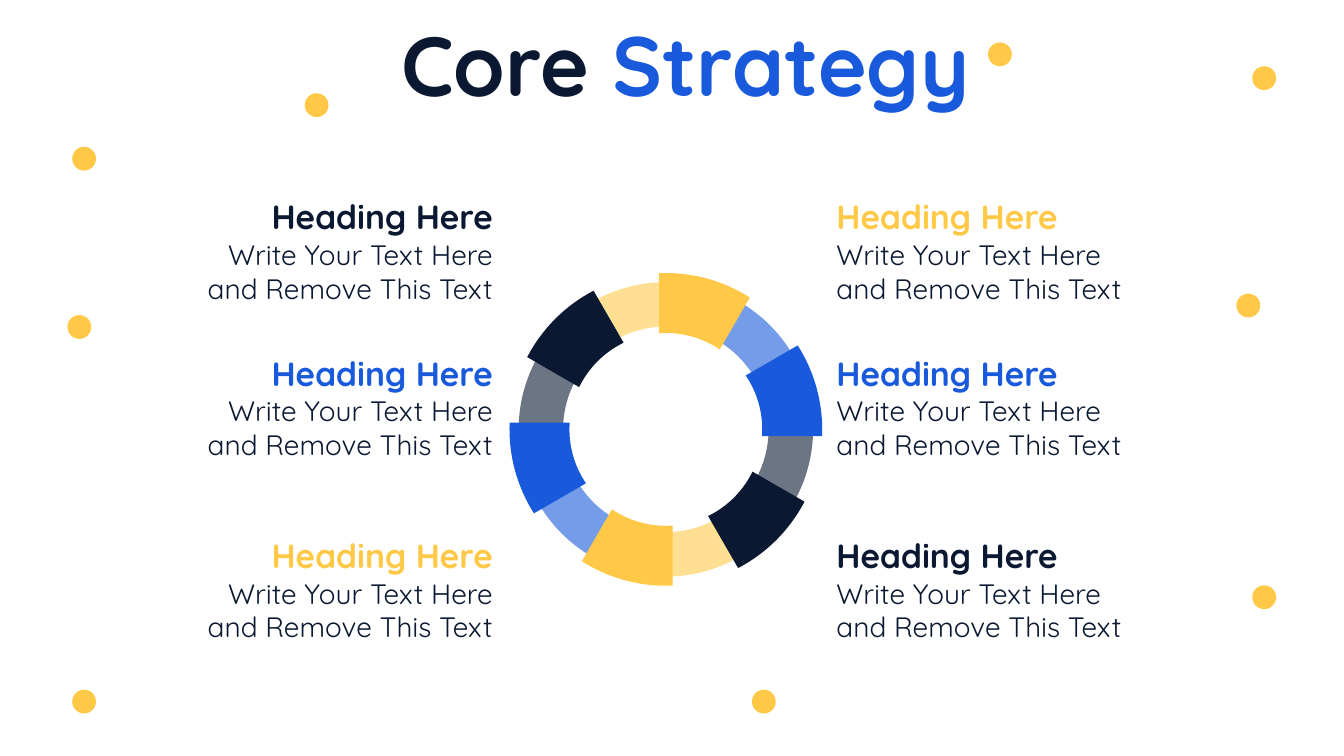
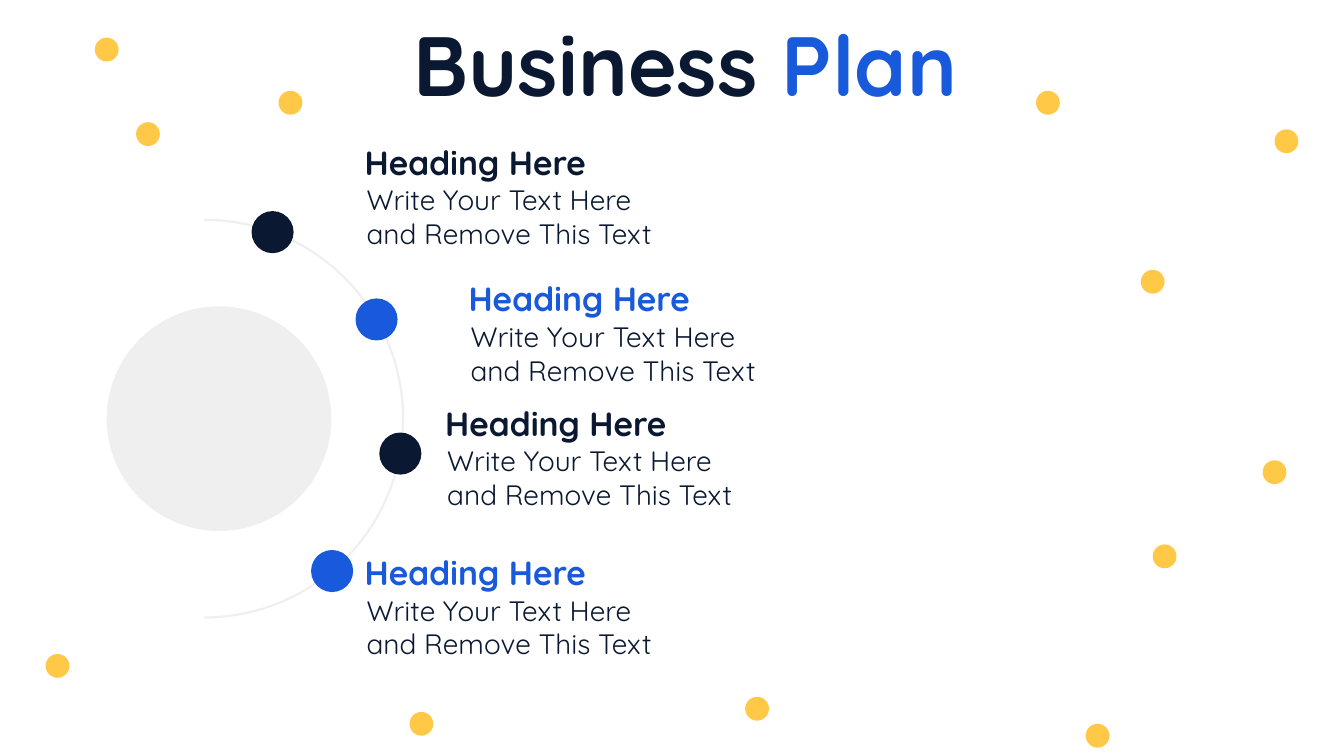
from math import asin, cos, pi, radians, sin, tan

from lxml import etree
from pptx import Presentation
from pptx.dml.color import RGBColor
from pptx.enum.shapes import MSO_SHAPE
from pptx.enum.text import PP_ALIGN
from pptx.oxml.ns import qn
from pptx.util import Cm, Pt

OVAL, ARC = MSO_SHAPE.OVAL, MSO_SHAPE.ARC
LEFT, CENTER, RIGHT = PP_ALIGN.LEFT, PP_ALIGN.CENTER, PP_ALIGN.RIGHT

NAVY = RGBColor(0x0A, 0x19, 0x31)
BLUE = RGBColor(0x18, 0x5A, 0xDB)
YELLOW = RGBColor(0xFF, 0xC9, 0x47)
SLATE = RGBColor(0x6C, 0x75, 0x83)
PALE_YELLOW = RGBColor(0xFF, 0xDF, 0x91)
PALE_BLUE = RGBColor(0x74, 0x9C, 0xE9)
GREY = RGBColor(0xEF, 0xEF, 0xEF)
FONT = "Quicksand"

HEADING = "Heading Here"
BODY = "Write Your Text Here and Remove This Text"
HEADING_WIDTH, BODY_WIDTH = 6.25, 8.38
BODY_DROP = 1.04
TITLE_CENTER = 17.27
DOT_SIZE = 0.6

STRATEGY_DOTS = [
    (7.98, 2.65), (2.12, 4), (2, 8.24), (25.2, 1.37), (31.46, 7.7),
    (31.86, 1.97), (19.25, 17.68), (2.12, 17.68), (31.86, 15.05),
]
STRATEGY_ROWS = [
    (4.82, NAVY, YELLOW),
    (8.76, BLUE, BLUE),
    (13.35, YELLOW, NAVY),
]
LEFT_COLUMN_END, RIGHT_COLUMN = 12.67, 20.83
RING_CENTER = (16.78, 10.82)
SECTOR = 30
RING_BANDS = [
    (15, 2.59, 3.71, 0, (SLATE, PALE_YELLOW, PALE_BLUE)),
    (45, 2.43, 3.94, 0.17, (NAVY, YELLOW, BLUE)),
]

PLAN_DOTS = [
    (7.32, 2.59), (2.69, 1.25), (3.73, 3.38), (10.62, 18.24),
    (1.45, 16.78), (19.08, 17.86), (32.12, 11.9), (29.35, 14.02),
    (29.05, 7.1), (26.41, 2.59), (32.42, 3.56), (27.66, 18.54),
]
PLAN_STEPS = [
    ((6.87, 5.85), (8.94, 3.44), NAVY),
    ((9.49, 8.05), (11.56, 6.89), BLUE),
    ((10.09, 11.43), (10.97, 10.02), NAVY),
    ((8.37, 14.39), (8.94, 13.78), BLUE),
]
PLAN_BODY_SHIFT = 0.05
HUB_CENTER, HUB_SIZE = (5.52, 10.55), 5.66
ORBIT_CENTER, ORBIT_SIZE = (5.15, 10.55), 10.02
STEP_SIZE = 1.06


def paint(shape, color):
    shape.shadow.inherit = False
    shape.fill.solid()
    shape.fill.fore_color.rgb = color
    shape.line.fill.background()


def add_centered(shapes, preset, center, size):
    x, y = center
    return shapes.add_shape(
        preset, Cm(x - size / 2), Cm(y - size / 2), Cm(size), Cm(size))


def add_circle(shapes, center, size, color):
    paint(add_centered(shapes, OVAL, center, size), color)


def add_text(shapes, x, y, width, height, runs, size,
             bold=False, align=LEFT, wrap=False):
    frame = shapes.add_textbox(Cm(x), Cm(y), Cm(width), Cm(height)).text_frame
    frame.word_wrap = wrap
    paragraph = frame.paragraphs[0]
    paragraph.alignment = align
    paragraph.font.name = FONT
    paragraph.font.size = Pt(size)
    paragraph.font.bold = bold
    for words, color in runs:
        run = paragraph.add_run()
        run.text = words
        run.font.color.rgb = color


def add_topic(slide, x, y, color, align=LEFT, body_shift=0):
    topic = slide.shapes.add_group_shape().shapes
    from_edge = 1 if align == RIGHT else 0
    add_text(topic, x + body_shift - from_edge * BODY_WIDTH, y + BODY_DROP,
             BODY_WIDTH, 1.96, [(BODY, NAVY)], 20, align=align, wrap=True)
    add_text(topic, x - from_edge * HEADING_WIDTH, y,
             HEADING_WIDTH, 1.28, [(HEADING, color)], 24, True, align)


def add_base(prs, dots):
    slide = prs.slides.add_slide(prs.slide_layouts[6])
    for center in dots:
        add_circle(slide.shapes, center, DOT_SIZE, YELLOW)
    return slide


def add_title(slide, first_word, second_word, width):
    add_text(slide.shapes, TITLE_CENTER - width / 2, 0.2, width, 2.82,
             [(first_word, NAVY), (" " + second_word, BLUE)], 60, True, CENTER)


def arc_points(radius, middle, overlap):
    half = radians(SECTOR / 2) + asin(overlap / radius)
    start, end = (pi + radians(middle) + side * half for side in (-1, 1))
    pull = 4 / 3 * tan(half / 2)
    x, y = RING_CENTER
    offsets = [
        (cos(start), sin(start)),
        (cos(start) - pull * sin(start), sin(start) + pull * cos(start)),
        (cos(end) + pull * sin(end), sin(end) - pull * cos(end)),
        (cos(end), sin(end)),
    ]
    return [(Cm(x + radius * dx), Cm(y + radius * dy)) for dx, dy in offsets]


def bend(segment):
    lines = list(segment._element.iter(qn("a:lnTo")))
    for trio in (lines[:3], lines[4:7]):
        curve = etree.Element(qn("a:cubicBezTo"))
        trio[0].addprevious(curve)
        for line in trio:
            curve.append(line[0])
            line.getparent().remove(line)


def add_segment(shapes, middle, inner, outer, overlap, color):
    outline = (arc_points(outer, middle, overlap)
               + arc_points(inner, middle, overlap)[::-1])
    builder = shapes.build_freeform(*outline[0])
    builder.add_line_segments(outline[1:], close=True)
    segment = builder.convert_to_shape()
    bend(segment)
    paint(segment, color)


def build_strategy(prs):
    slide = add_base(prs, STRATEGY_DOTS)
    ring = slide.shapes.add_group_shape().shapes
    for first, inner, outer, overlap, colors in RING_BANDS:
        for i in range(6):
            add_segment(ring, first + 2 * SECTOR * i, inner, outer, overlap,
                        colors[i % len(colors)])
    for y, left_color, right_color in STRATEGY_ROWS:
        add_topic(slide, LEFT_COLUMN_END, y, left_color, RIGHT)
        add_topic(slide, RIGHT_COLUMN, y, right_color)
    add_title(slide, "Core", "Strategy", 15.14)


def build_plan(prs):
    slide = add_base(prs, PLAN_DOTS)
    diagram = slide.shapes.add_group_shape().shapes
    add_circle(diagram, HUB_CENTER, HUB_SIZE, GREY)
    orbit = add_centered(diagram, ARC, ORBIT_CENTER, ORBIT_SIZE)
    orbit.adjustments[1] = 54
    orbit.shadow.inherit = False
    orbit.fill.background()
    orbit.line.color.rgb = GREY
    orbit.line.width = Pt(1.5)
    for center, (x, y), color in PLAN_STEPS:
        add_circle(diagram, center, STEP_SIZE, color)
        add_topic(slide, x, y, color, body_shift=PLAN_BODY_SHIFT)
    add_title(slide, "Business", "Plan", 14.38)


def main():
    prs = Presentation()
    prs.slide_width, prs.slide_height = Cm(33.87), Cm(19.05)
    build_strategy(prs)
    build_plan(prs)
    prs.save("out.pptx")


if __name__ == "__main__":
    main()
